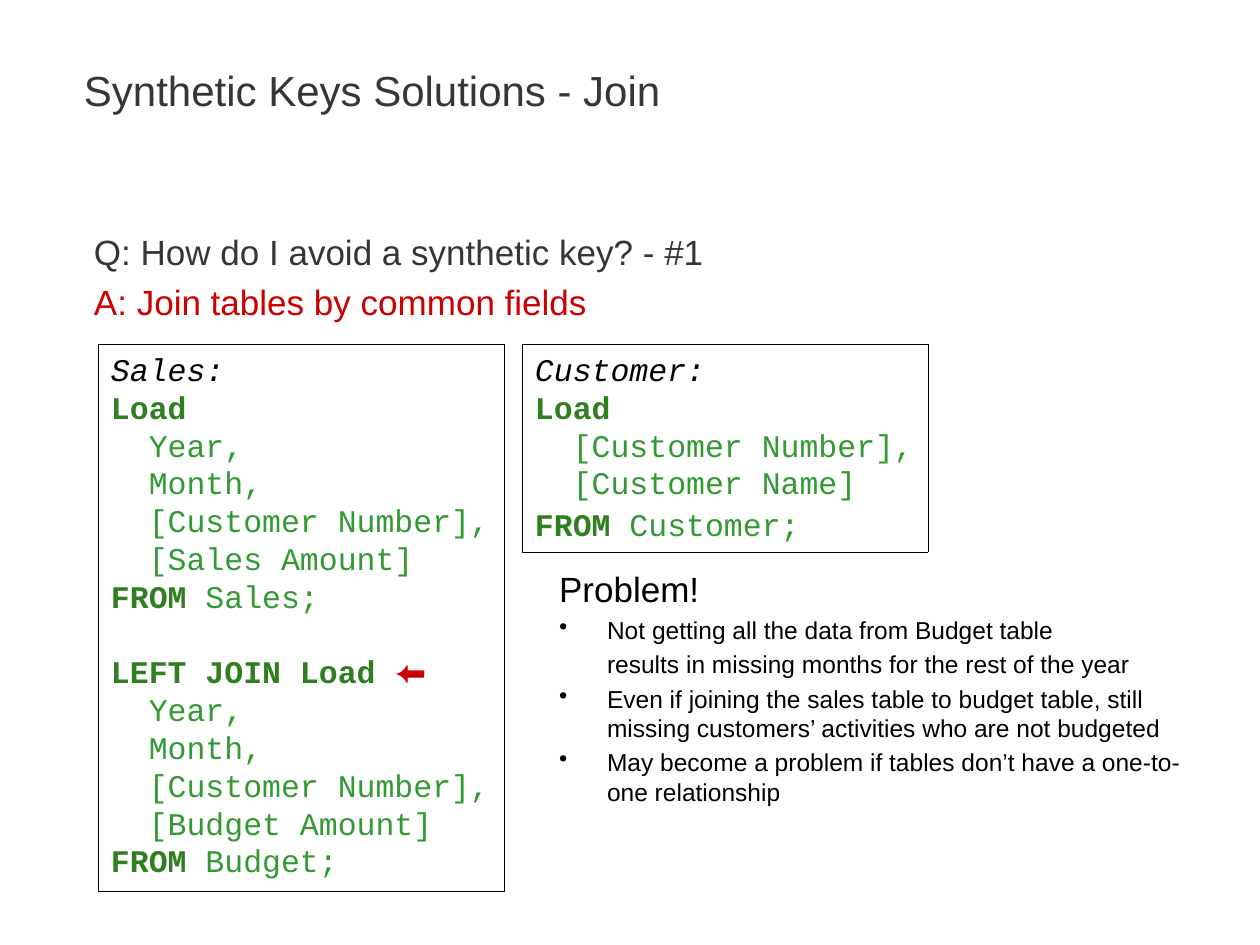
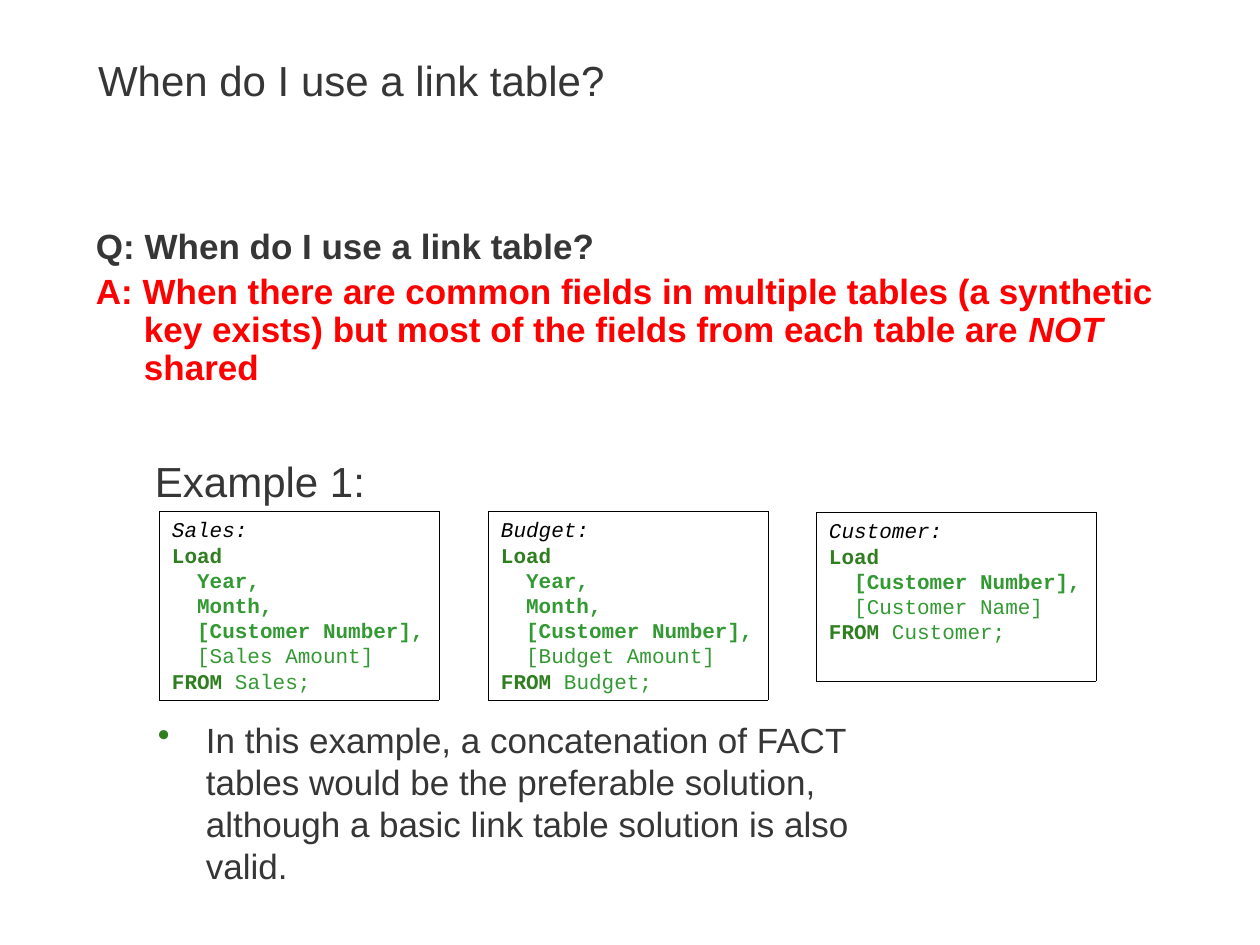
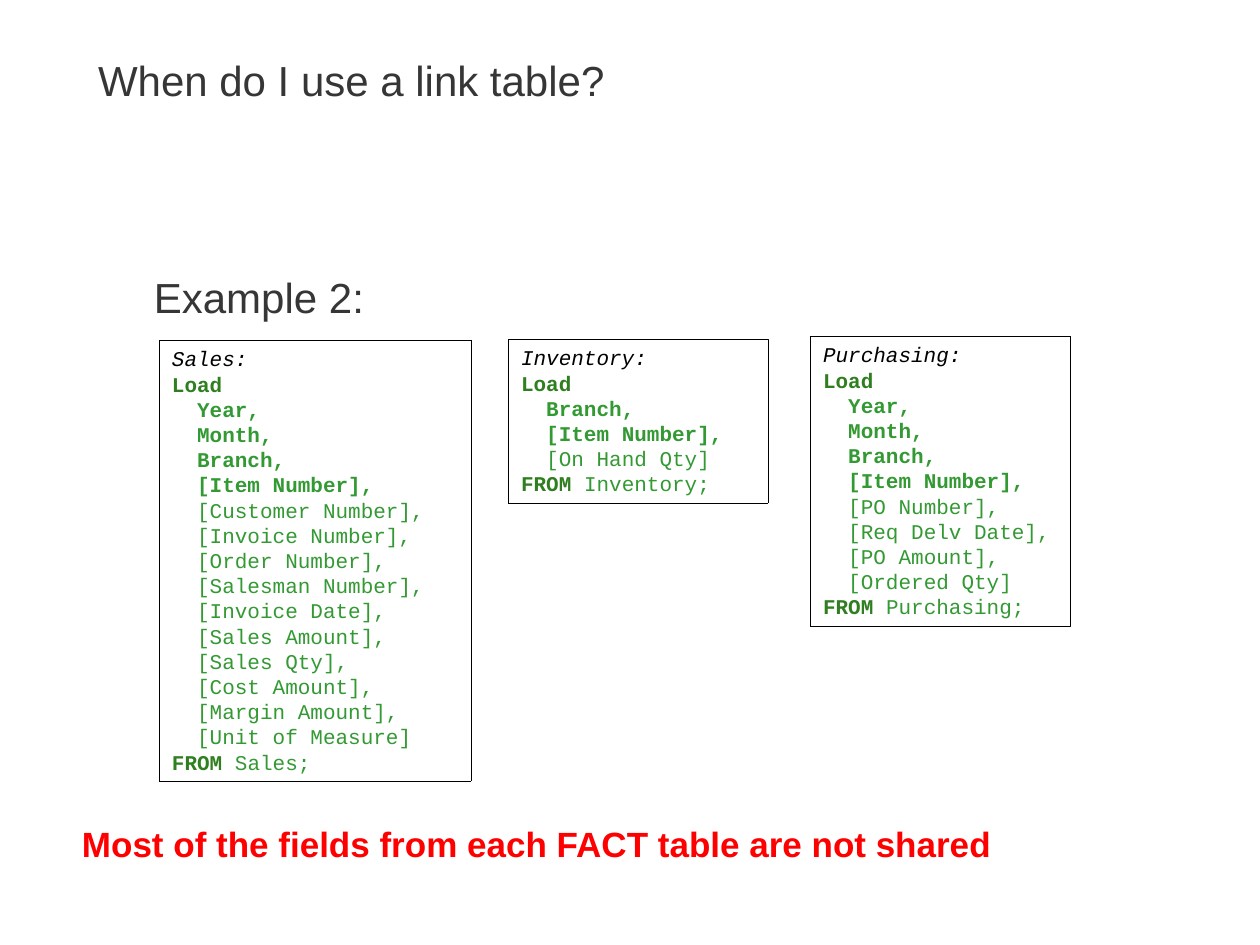
import pptx
import pptx.util
import pptx.dml.color
import pptx.enum.dml
import pptx.enum.shapes
import pptx.enum.text
import lxml.etree
from pptx.oxml.ns import qn

RGB = pptx.dml.color.RGBColor
GREY = RGB(0x36, 0x36, 0x36)
BLACK = RGB(0, 0, 0)
WHITE = RGB(0xFF, 0xFF, 0xFF)
CRIMSON = RGB(0xCC, 0, 0)
RED = RGB(0xFF, 0, 0)
FOREST = RGB(0x2F, 0x7E, 0x20)
GREEN = RGB(0x33, 0x99, 0x33)

SANS, MONO = "Arial", "Courier New"
LEAD = 1.2  # line height in ems
HANG = 48
INSET = (13, 6)
FLAT = (0, 0)
TOP = pptx.enum.text.MSO_ANCHOR.TOP
BOTTOM = pptx.enum.text.MSO_ANCHOR.BOTTOM


def px(n):
    return round(n * 914400 / 126)


def frame(shape, inset=INSET, anchor=TOP):
    area = shape.text_frame
    area.word_wrap = True
    area.vertical_anchor = anchor
    area.margin_left = area.margin_right = px(inset[0])
    area.margin_top = area.margin_bottom = px(inset[1])
    return area


def panel(slide, box, inset=INSET, anchor=TOP):
    return frame(slide.shapes.add_textbox(*map(px, box)), inset, anchor)


def write(area, runs, size=20, font=SANS, color=GREY, bold=False, lead=LEAD,
          before=0, left=0, first=0, bullet=None):
    """Add one paragraph; runs is a string or a list of (text, overrides)."""
    para = area.paragraphs[0]
    if para.runs:
        para = area.add_paragraph()
    para.alignment = pptx.enum.text.PP_ALIGN.LEFT
    para.line_spacing = pptx.util.Pt(size * lead)
    para.space_before = pptx.util.Pt(before)
    props = para._p.get_or_add_pPr()
    props.set("marL", str(left))
    props.set("indent", str(first))
    if bullet is not None:
        tint = lxml.etree.SubElement(props, qn("a:buClr"))
        lxml.etree.SubElement(tint, qn("a:srgbClr")).set("val", str(bullet))
        lxml.etree.SubElement(props, qn("a:buChar")).set("char", "•")
    for text, style in [(runs, {})] if isinstance(runs, str) else runs:
        run = para.add_run()
        run.text = text
        run.font.name = font
        run.font.size = pptx.util.Pt(size)
        run.font.color.rgb = style.get("color", color)
        run.font.bold = style.get("bold", bold)
        run.font.italic = style.get("italic", False)


def hang(area, runs, size=20, **fmt):
    """Add a paragraph with a hanging indent and a gap of a fifth of its size."""
    write(area, runs, size=size, before=size / 5, left=px(HANG),
          first=-px(HANG), **fmt)


def title(slide, text, box=(98, 0, 927, 105)):
    write(panel(slide, box, FLAT, BOTTOM), text, size=24)


def code(slide, box, name, loads, size=12, drop=0):
    """Draw a script box; each load is (verb runs, shared, own, source).

    Shared fields are bold, and drop is the extra gap above FROM.
    """
    shape = slide.shapes.add_shape(
        pptx.enum.shapes.MSO_SHAPE.RECTANGLE, *map(px, box))
    shape.shadow.inherit = False
    shape.fill.background()
    shape.line.color.rgb = BLACK
    shape.line.width = pptx.util.Pt(0.25)
    shape.line.dash_style = pptx.enum.dml.MSO_LINE.ROUND_DOT
    area = frame(shape)
    base = dict(size=size, font=MONO, color=GREEN)
    word = dict(color=FOREST, bold=True)
    tab = pptx.util.Pt(size * 1.2)  # two characters
    write(area, [(name + ":", dict(color=BLACK, italic=True))], **base)
    for n, (verb, shared, own, source) in enumerate(loads):
        write(area, [(verb, word)] if isinstance(verb, str) else verb,
              before=size * LEAD if n else 0, **base)
        fields = shared + own
        for k, field in enumerate(fields):
            comma = "," if k < len(fields) - 1 else ""
            write(area, field + comma, bold=k < len(shared), left=tab, **base)
        write(area, [("FROM ", word), (source + ";", {})], before=drop, **base)


def load(slide, box, name, shared, own):
    code(slide, box, name, [("Load", shared, own, name)])


def join_slide(slide):
    title(slide, "Synthetic Keys Solutions - Join", (84, 0, 814, 115))
    body = panel(slide, (94, 231, 1071, 163), FLAT)
    hang(body, "Q: How do I avoid a synthetic key? - #1")
    hang(body, "A: Join tables by common fields", color=CRIMSON)

    keys = ["Year", "Month", "[Customer Number]"]
    join = [("LEFT JOIN Load ", dict(color=FOREST, bold=True)),
            ("⬅", dict(color=CRIMSON))]
    code(slide, (522, 344, 406, 208), "Customer",
         [("Load", [], ["[Customer Number]", "[Customer Name]"], "Customer")],
         size=18, drop=2)
    code(slide, (98, 344, 406, 547), "Sales",
         [("Load", [], keys + ["[Sales Amount]"], "Sales"),
          (join, [], keys + ["[Budget Amount]"], "Budget")], size=18)

    notes = panel(slide, (546, 562, 685, 275))
    hang(notes, "Problem!", color=BLACK)
    point = dict(size=14, color=BLACK)
    hang(notes, "Not getting all the data from Budget table",
         bullet=BLACK, **point)
    write(notes, "results in missing months for the rest of the year",
          before=2.8, left=px(HANG), **point)
    for text in (
            "Even if joining the sales table to budget table, still missing "
            "customers’ activities who are not budgeted",
            "May become a problem if tables don’t have a one-to-one "
            "relationship"):
        hang(notes, text, bullet=BLACK, **point)


def shared_slide(slide):
    title(slide, "When do I use a link table?")
    body = panel(slide, (96, 229, 1071, 180), FLAT)
    tight = dict(bold=True, lead=LEAD * 0.9)
    hang(body, "Q: When do I use a link table?", **tight)
    hang(body, [("A: When there are common fields in multiple tables (a "
                 "synthetic key exists) but most of the fields from each "
                 "table are ", {}),
                ("NOT ", dict(italic=True)), ("shared", {})],
         color=RED, **tight)

    write(panel(slide, (142, 450, 238, 63)), "Example 1:", size=24)
    keys = ["Year", "Month", "[Customer Number]"]
    for n, name in enumerate(["Sales", "Budget"]):
        load(slide, (159 + 329 * n, 511, 280, 189), name, keys,
             [f"[{name} Amount]"])
    load(slide, (816, 512, 280, 169), "Customer", keys[2:],
         ["[Customer Name]"])
    hang(panel(slide, (158, 718, 759, 197), FLAT),
         "In this example, a concatenation of FACT tables would be the "
         "preferable solution, although a basic link table solution is also "
         "valid.", bullet=FOREST)


def fact_slide(slide):
    title(slide, "When do I use a link table?")
    write(panel(slide, (141, 266, 238, 63)), "Example 2:", size=24)
    keys = ["Year", "Month", "Branch", "[Item Number]"]
    load(slide, (159, 340, 312, 441), "Sales", keys,
         ["[Customer Number]", "[Invoice Number]", "[Order Number]",
          "[Salesman Number]", "[Invoice Date]", "[Sales Amount]",
          "[Sales Qty]", "[Cost Amount]", "[Margin Amount]",
          "[Unit of Measure]"])
    load(slide, (508, 339, 260, 164), "Inventory", keys[2:],
         ["[On Hand Qty]"])
    load(slide, (810, 336, 260, 290), "Purchasing", keys,
         ["[PO Number]", "[Req Delv Date]", "[PO Amount]", "[Ordered Qty]"])
    write(panel(slide, (69, 816, 945, 55)),
          "Most of the fields from each FACT table are not shared",
          color=RED, bold=True)


def main():
    deck = pptx.Presentation()
    deck.slide_width, deck.slide_height = px(1260), px(945)
    for build in (join_slide, shared_slide, fact_slide):
        slide = deck.slides.add_slide(deck.slide_layouts[6])
        slide.background.fill.solid()
        slide.background.fill.fore_color.rgb = WHITE
        build(slide)
    deck.save("out.pptx")


if __name__ == "__main__":
    main()
